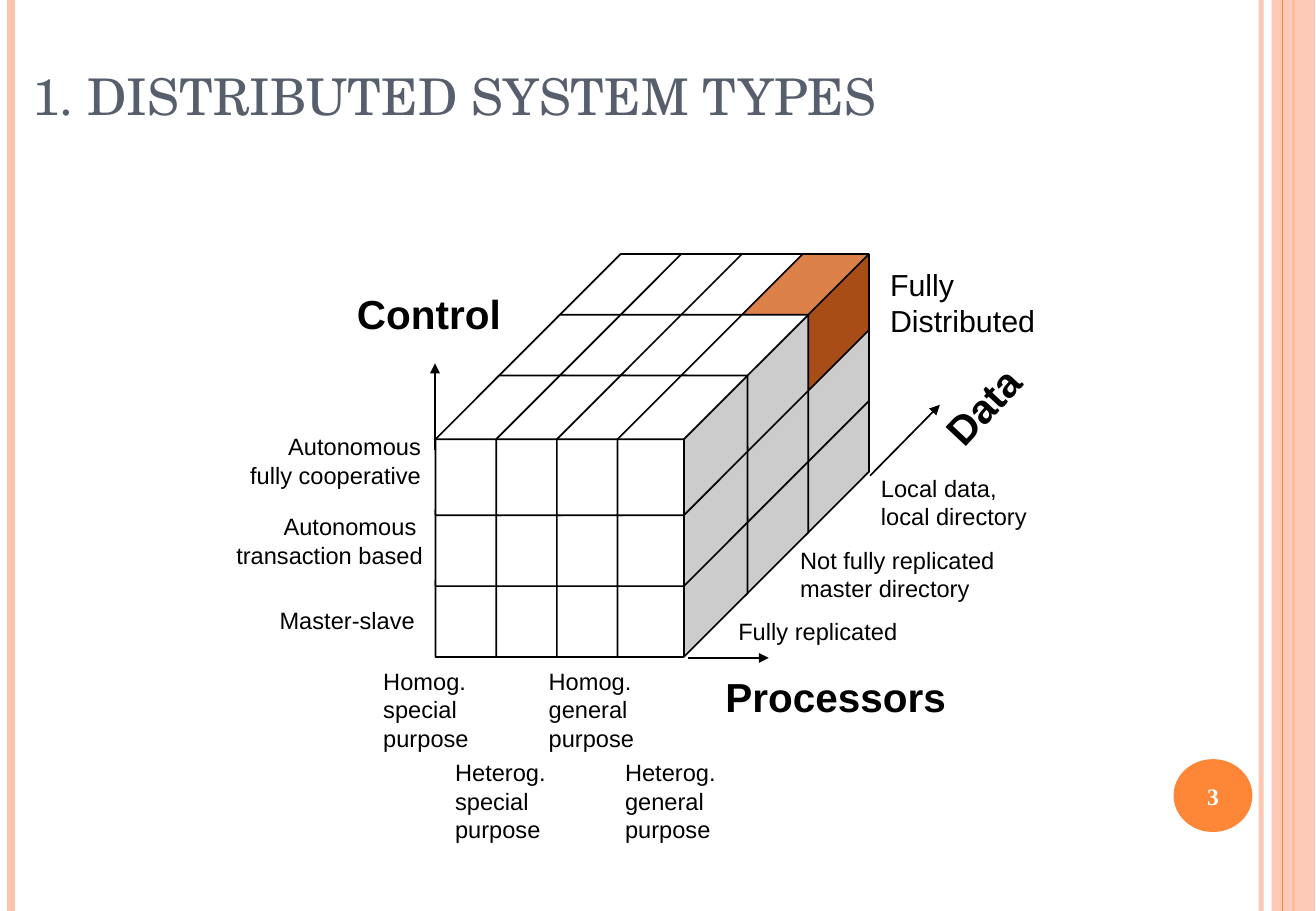
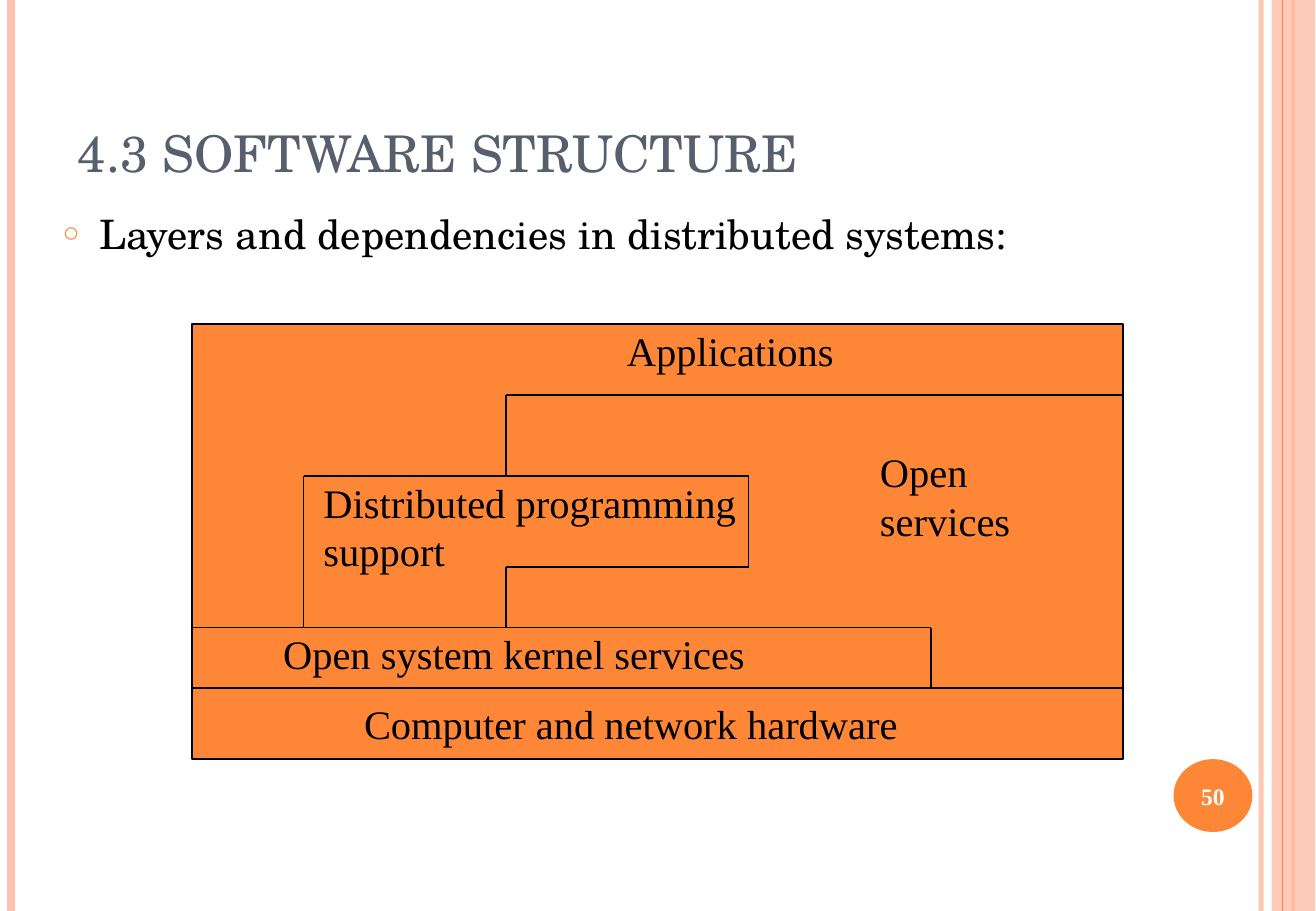
from lxml.etree import SubElement
from pptx import Presentation
from pptx.dml.color import RGBColor
from pptx.enum.shapes import MSO_CONNECTOR, MSO_SHAPE
from pptx.enum.text import MSO_ANCHOR, MSO_AUTO_SIZE, PP_ALIGN
from pptx.oxml.ns import qn
from pptx.util import Inches, Pt

RECT, OVAL, CUBE = MSO_SHAPE.RECTANGLE, MSO_SHAPE.OVAL, MSO_SHAPE.CUBE
LEFT, MID, RIGHT = PP_ALIGN.LEFT, PP_ALIGN.CENTER, PP_ALIGN.RIGHT
INK = {name: RGBColor.from_string(code) for name, code in {
    "black": "000000", "white": "FFFFFF", "slate": "575F6D",
    "orange": "FE8637", "peach": "FEC3AE", "rust": "D2611C"}.items()}
SERIF, SANS, TIMES = "TeX Gyre Schola", "Arial", "Times New Roman"

prs = Presentation()
prs.slide_width, prs.slide_height = Inches(10.84), Inches(7.5)
# The grid has 90 rows of square cells; all places below count cells.
ROWS = 90
CELL = prs.slide_height / ROWS


def line(slide, ends, ink="black", width=1, arrow=False):
    x1, y1, x2, y2 = [round(v * CELL) for v in ends]
    rule = slide.shapes.add_connector(MSO_CONNECTOR.STRAIGHT, x1, y1, x2, y2)
    rule.line.color.rgb = INK[ink]
    rule.line.width = Pt(width)
    if arrow:
        SubElement(rule.line._get_or_add_ln(), qn("a:tailEnd"), type="triangle")
    SubElement(rule.element.spPr, qn("a:effectLst"))
    return rule


def write(slide, box, text, size, face, ink="black", bold=False, align=LEFT):
    label = slide.shapes.add_textbox(*[round(v * CELL) for v in box])
    frame = label.text_frame
    frame.word_wrap = True
    frame.text = text
    for para in frame.paragraphs:
        para.alignment = align
        para.font.size, para.font.name = Pt(size), face
        para.font.bold, para.font.color.rgb = bold, INK[ink]
    return label


# Slides with their titles and page numbers
pages = []
for layout, title, box, number in [
        (5, "1. DISTRIBUTED SYSTEM TYPES", (2, 5, 127, 8), "3"),
        (1, "4.3 SOFTWARE STRUCTURE", (6.5, 3.6, 106.2, 15), "50")]:
    slide = prs.slides.add_slide(prs.slide_layouts[layout])
    head = slide.shapes.title
    head.left, head.top, head.width, head.height = [round(v * CELL) for v in box]
    head.text_frame.text = title
    head.text_frame.auto_size = MSO_AUTO_SIZE.NONE
    head.text_frame.vertical_anchor = MSO_ANCHOR.BOTTOM
    para = head.text_frame.paragraphs[0]
    para.alignment = LEFT
    para.font.size, para.font.name = Pt(30), SERIF
    para.font.color.rgb = INK["slate"]
    write(slide, (115.6, 76.7, 8.6, 4), number, 14, TIMES, "white", True, MID)
    pages.append(slide)
types, layers = pages

# Bands and page disc, drawn once and moved to the master
decor = [line(types, (x, 0, x, ROWS), ink, width) for x, ink, width in [
    (124.65, "peach", 3), (1.1, "peach", 4.5), (127.85, "orange", 1.5)]]
for kind, box, ink in [(RECT, (125.7, 0, 4.3, ROWS), "peach"),
                       (OVAL, (116, 75, 7.8, 7.2), "orange")]:
    shape = types.shapes.add_shape(kind, *[round(v * CELL) for v in box])
    shape.shadow.inherit = False
    shape.fill.solid()
    shape.fill.fore_color.rgb = INK[ink]
    shape.line.fill.background()
    decor.append(shape)
decor.insert(4, line(types, (126.8, 0, 126.8, ROWS), "orange", 0.75))
for shape, alpha in [(decor[0], 93), (decor[3], 87)]:
    for tint in shape.element.spPr.iter(qn("a:srgbClr")):
        SubElement(tint, qn("a:alpha"), val=str(alpha * 1000))
tree = prs.slide_master.shapes.element
for nth, shape in enumerate(decor):
    shape.element.xpath(".//p:cNvPr")[0].set("id", str(20 + nth))
    tree.insert(2 + nth, shape.element)

# Slide 1: block of cubes, from back to front and from the bottom up
COLS, TIERS, DEPTH = 4, 3, 3
for back in reversed(range(DEPTH)):
    for tier in range(TIERS):
        for col in range(COLS):
            box = (43.05 + 6 * (col + back), 51.1 - 7 * tier - 6 * back, 12.85, 13.8)
            cube = types.shapes.add_shape(CUBE, *[round(v * CELL) for v in box])
            cube.adjustments[0] = 0.49
            cube.shadow.inherit = False
            full = (back, tier, col) == (DEPTH - 1, TIERS - 1, COLS - 1)
            cube.fill.solid()
            cube.fill.fore_color.rgb = INK["rust" if full else "white"]
            cube.line.color.rgb = INK["black"]
            cube.line.width = Pt(1)

for ends in [(86, 47, 92.9, 40), (68, 65, 76, 65), (43, 44.5, 43, 35.9)]:
    line(types, ends, arrow=True)
for box, text, turn in [((30.4, 28, 24, 6), "Control", 0),
                        ((67.6, 65.8, 30, 6), "Processors", 0),
                        ((89.1, 37.1, 16, 6), "Data", 313)]:
    write(types, box, text, 24, SANS, bold=True, align=MID).rotation = turn
write(types, (86.8, 25.7, 24, 8.4), "Fully\nDistributed", 18, SANS)

for box, text, align in [
        ((71.8, 60.4, 28, 4), "Fully replicated", LEFT),
        ((77.9, 53.3, 28, 6.7), "Not fully replicated\nmaster directory", LEFT),
        ((85.9, 46.2, 28, 6.7), "Local data,\nlocal directory", LEFT),
        ((14.2, 59.3, 28, 4), "Master-slave", RIGHT),
        ((15, 50, 28, 6.7), "Autonomous \ntransaction based", RIGHT),
        ((14.8, 42.1, 28, 6.7), "Autonomous\nfully cooperative", RIGHT),
        ((36.7, 65.3, 14, 9.6), "Homog.\nspecial\npurpose", LEFT),
        ((43.8, 74.3, 14, 9.6), "Heterog.\nspecial\npurpose", LEFT),
        ((53.05, 65.3, 14, 9.6), "Homog.\ngeneral\npurpose", LEFT),
        ((60.6, 74.3, 14, 9.6), "Heterog.\ngeneral\npurpose", LEFT)]:
    write(types, box, text, 14, SANS, align=align)

# Slide 2: bullet and layer diagram
body = layers.placeholders[1]
body.left, body.top, body.width, body.height = [
    round(v * CELL) for v in (5, 20, 122, 63)]
body.text_frame.text = "Layers and dependencies in distributed systems:"
body.text_frame.auto_size = MSO_AUTO_SIZE.NONE
para = body.text_frame.paragraphs[0]
props = para._p.get_or_add_pPr()
props.set("marL", str(Inches(0.3)))
props.set("indent", str(-Inches(0.3)))
SubElement(SubElement(props, qn("a:buClr")), qn("a:srgbClr"), val=str(INK["orange"]))
SubElement(props, qn("a:buSzPct"), val="70000")
SubElement(props, qn("a:buChar"), char="○")
para.space_before = Pt(0)
para.font.size, para.font.name = Pt(24), SERIF
para.font.color.rgb = INK["black"]

stack = layers.shapes.add_shape(RECT, *[round(v * CELL) for v in (19, 32, 92, 43)])
stack.shadow.inherit = False
stack.fill.solid()
stack.fill.fore_color.rgb = INK["orange"]
stack.line.color.rgb = INK["black"]
stack.line.width = Pt(1)

# Each trail is a chain of corners
for trail in [[(19, 68), (111, 68)],
              [(19, 62), (92, 62), (92, 68)],
              [(30, 62), (30, 47), (74, 47), (74, 56), (50, 56), (50, 62)],
              [(50, 47), (50, 39), (111, 39)]]:
    for start, end in zip(trail, trail[1:]):
        line(layers, start + end)

for box, text in [
        ((60.8, 31.6, 30, 6), "Applications"),
        ((30.8, 46.6, 48, 10.8), "Distributed programming\nsupport"),
        ((85.8, 43.6, 22, 10.8), "Open\nservices"),
        ((26.8, 61.6, 60, 6), "Open system kernel services"),
        ((34.8, 68.5, 70, 6), "Computer and network hardware")]:
    write(layers, box, text, 24, TIMES)

prs.save("out.pptx")
